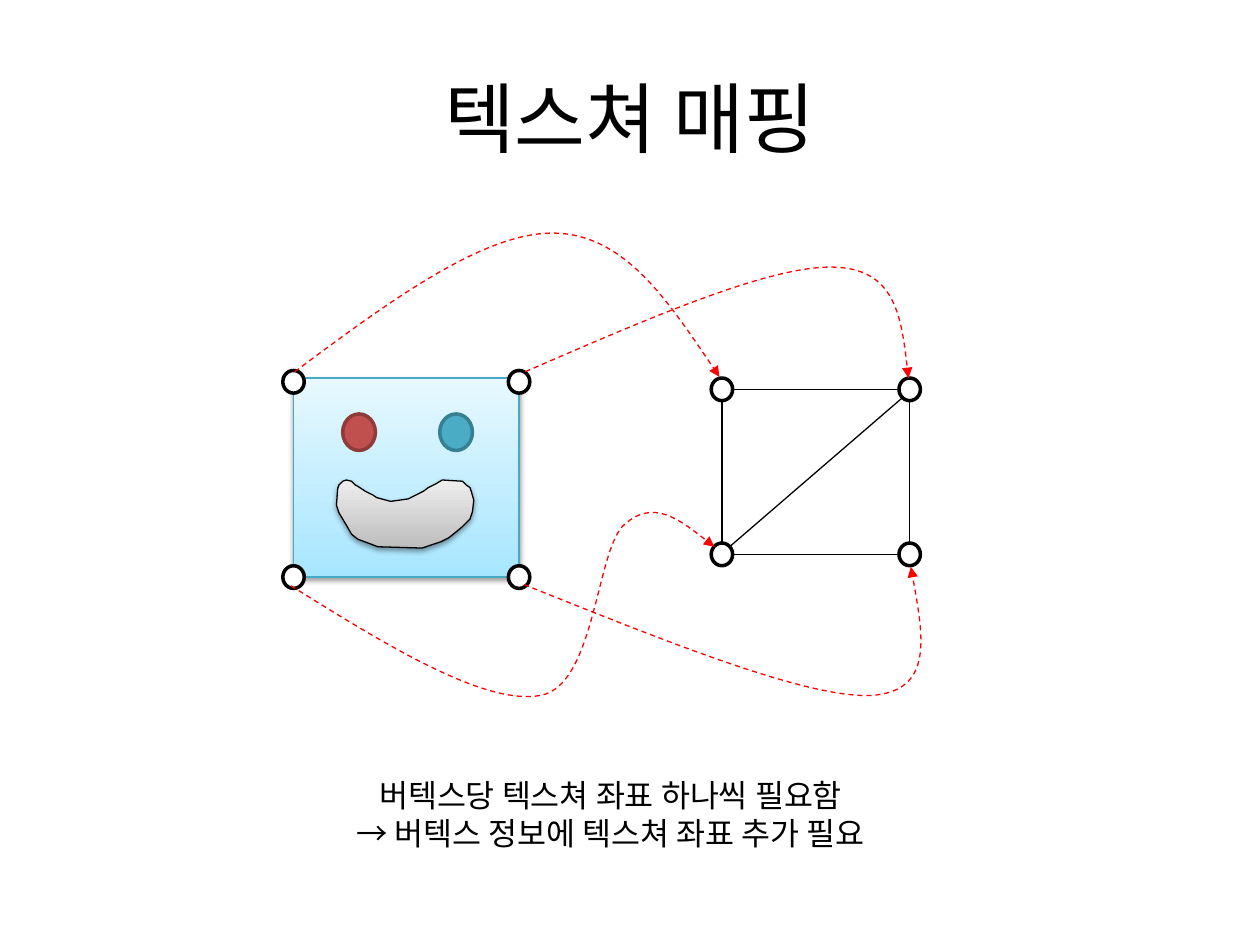
from lxml.etree import SubElement
from pptx import Presentation
from pptx.dml.color import RGBColor
from pptx.enum.dml import MSO_LINE
from pptx.enum.shapes import MSO_CONNECTOR, MSO_SHAPE
from pptx.enum.text import MSO_ANCHOR, PP_ALIGN
from pptx.oxml.ns import qn
from pptx.util import Inches, Pt

FONT = "Noto Sans CJK KR"
BLACK = RGBColor(0x00, 0x00, 0x00)
WHITE = RGBColor(0xFF, 0xFF, 0xFF)
RED = RGBColor(0xFF, 0x00, 0x00)
SKY_DARK = RGBColor(0xA7, 0xE6, 0xFF)
SKY_LIGHT = RGBColor(0xE7, 0xF8, 0xFF)
SKY_LINE = RGBColor(0x46, 0xAA, 0xC5)
GRAY_DARK = RGBColor(0xBD, 0xBD, 0xBD)
GRAY_LIGHT = RGBColor(0xEE, 0xEE, 0xEE)
EYE_RED = RGBColor(0xC0, 0x50, 0x4D)
EYE_RED_LINE = RGBColor(0x8E, 0x3B, 0x39)
EYE_TEAL = RGBColor(0x4B, 0xAC, 0xC6)
EYE_TEAL_LINE = RGBColor(0x37, 0x7F, 0x92)

VERTEX_WIDTH, VERTEX_HEIGHT = 0.17, 0.18
MESH_LEFT, MESH_RIGHT, MESH_TOP, MESH_BOTTOM = 5.73, 7.22, 3.09, 4.4
FACE_LEFT, FACE_RIGHT, FACE_TOP, FACE_BOTTOM = 2.33, 4.12, 3.03, 4.58

MOUTH = [
    (2.75, 4.17), (2.69, 4.07), (2.67, 4.01), (2.68, 3.88), (2.69, 3.85),
    (2.72, 3.82), (2.75, 3.81), (2.79, 3.82), (2.82, 3.85), (2.84, 3.86),
    (2.9, 3.9), (2.96, 3.93), (2.99, 3.95), (3.1, 3.98), (3.24, 3.96),
    (3.3, 3.93), (3.36, 3.9), (3.4, 3.87), (3.46, 3.84), (3.51, 3.81),
    (3.67, 3.82), (3.7, 3.85), (3.73, 3.87), (3.74, 3.9), (3.76, 3.97),
    (3.75, 4.06), (3.73, 4.12), (3.67, 4.18), (3.61, 4.23), (3.56, 4.27),
    (3.5, 4.3), (3.44, 4.32), (3.35, 4.35), (3, 4.34), (2.92, 4.31),
    (2.84, 4.28), (2.79, 4.24),
]
MAPPING_CURVES = [
    [(2.34, 2.95), (3.09, 2.39), (3.84, 1.84), (4.4, 1.85),
     (4.96, 1.86), (5.33, 2.43), (5.71, 2.99)],
    [(4.17, 2.95), (5.14, 2.53), (6.1, 2.11), (6.61, 2.12),
     (7.11, 2.13), (7.16, 2.56), (7.21, 3)],
    [(2.31, 4.65), (3.08, 5.13), (3.85, 5.6), (4.29, 5.52), (4.73, 5.44),
     (4.73, 4.35), (4.96, 4.16), (5.19, 3.96), (5.43, 4.15), (5.67, 4.34)],
    [(4.16, 4.64), (5.28, 5.09), (6.4, 5.54), (6.91, 5.52),
     (7.42, 5.49), (7.32, 5), (7.23, 4.5)],
]


def write_text(shape, text, size):
    text_frame = shape.text_frame
    text_frame.word_wrap = True
    text_frame.text = text
    for paragraph in text_frame.paragraphs:
        paragraph.alignment = PP_ALIGN.CENTER
        for run in paragraph.runs:
            run.font.size = Pt(size)
            run.font.name = FONT
            run.font.color.rgb = BLACK
            SubElement(run.font._element, qn("a:ea"), typeface=FONT)


def set_line(shape, color, width):
    shape.line.color.rgb = color
    shape.line.width = Pt(width)


def set_gradient(shape, bottom_color, top_color):
    shape.fill.gradient()
    shape.fill.gradient_angle = 90
    for stop, color in zip(shape.fill.gradient_stops, (bottom_color, top_color)):
        stop.color.rgb = color


def add_drop_shadow(shape):
    shape.shadow.inherit = False
    effects = shape.element.spPr.find(qn("a:effectLst"))
    shadow = SubElement(effects, qn("a:outerShdw"), blurRad=str(Pt(3.1)),
                        dist=str(Pt(1.6)), dir="5400000", rotWithShape="0")
    color = SubElement(shadow, qn("a:srgbClr"), val=str(BLACK))
    SubElement(color, qn("a:alpha"), val="38000")


def add_ellipse(slide, center_x, center_y, width, height, fill, line):
    ellipse = slide.shapes.add_shape(
        MSO_SHAPE.OVAL, Inches(center_x - width / 2), Inches(center_y - height / 2),
        Inches(width), Inches(height))
    ellipse.fill.solid()
    ellipse.fill.fore_color.rgb = fill
    set_line(ellipse, line, 2)
    ellipse.shadow.inherit = False


def add_vertices(slide, columns, rows):
    for y in rows:
        for x in columns:
            add_ellipse(slide, x, y, VERTEX_WIDTH, VERTEX_HEIGHT, WHITE, BLACK)


def add_edge(slide, start, end):
    edge = slide.shapes.add_connector(
        MSO_CONNECTOR.STRAIGHT, *[Inches(value) for value in start + end])
    set_line(edge, BLACK, 0.75)
    SubElement(edge.element.spPr, qn("a:effectLst"))


def add_outline(slide, points, closed):
    start, *others = [(Inches(x), Inches(y)) for x, y in points]
    builder = slide.shapes.build_freeform(*start)
    builder.add_line_segments(others, close=closed)
    return builder.convert_to_shape()


def add_mapping_curve(slide, points):
    curve = add_outline(slide, points, False)
    segments = list(curve.element.iter(qn("a:lnTo")))
    for index in range(0, len(segments), 3):
        first, *others = segments[index:index + 3]
        first.tag = qn("a:cubicBezTo")
        for segment in others:
            first.append(segment[0])
            segment.getparent().remove(segment)
    curve.fill.background()
    set_line(curve, RED, 0.75)
    curve.line.dash_style = MSO_LINE.DASH
    SubElement(curve.element.spPr.find(qn("a:ln")), qn("a:tailEnd"), type="triangle")
    curve.shadow.inherit = False


def add_face(slide):
    face = slide.shapes.add_shape(
        MSO_SHAPE.RECTANGLE, Inches(FACE_LEFT), Inches(3), Inches(1.79), Inches(1.58))
    set_gradient(face, SKY_DARK, SKY_LIGHT)
    set_line(face, SKY_LINE, 0.75)
    add_drop_shadow(face)
    add_ellipse(slide, 2.85, 3.43, 0.26, 0.29, EYE_RED, EYE_RED_LINE)
    add_ellipse(slide, 3.62, 3.43, 0.26, 0.29, EYE_TEAL, EYE_TEAL_LINE)
    mouth = add_outline(slide, MOUTH, True)
    set_gradient(mouth, GRAY_DARK, GRAY_LIGHT)
    set_line(mouth, BLACK, 0.75)
    add_drop_shadow(mouth)


def add_mesh(slide):
    radius_x, radius_y = VERTEX_WIDTH / 2, VERTEX_HEIGHT / 2
    add_vertices(slide, (MESH_LEFT, MESH_RIGHT), (MESH_TOP, MESH_BOTTOM))
    for x in (MESH_LEFT, MESH_RIGHT):
        add_edge(slide, (x, MESH_TOP + radius_y), (x, MESH_BOTTOM - radius_y))
    for y in (MESH_TOP, MESH_BOTTOM):
        add_edge(slide, (MESH_LEFT + radius_x, y), (MESH_RIGHT - radius_x, y))
    add_edge(slide, (5.79, 4.34), (7.17, 3.15))


def main():
    presentation = Presentation()
    presentation.slide_width = Inches(10)
    presentation.slide_height = Inches(7.5)
    slide = presentation.slides.add_slide(presentation.slide_layouts[5])

    title = slide.shapes.title
    title.left, title.top = Inches(0.5), Inches(0.3)
    title.width, title.height = Inches(9), Inches(1.25)
    title.text_frame.vertical_anchor = MSO_ANCHOR.MIDDLE
    write_text(title, "텍스쳐 매핑", 44)

    add_face(slide)
    add_mesh(slide)
    add_vertices(slide, (FACE_LEFT, FACE_RIGHT), (FACE_TOP, FACE_BOTTOM))
    for points in MAPPING_CURVES:
        add_mapping_curve(slide, points)

    caption = slide.shapes.add_textbox(
        Inches(1.3), Inches(6.11), Inches(7.09), Inches(0.71))
    write_text(caption, "버텍스당 텍스쳐 좌표 하나씩 필요함\n→ 버텍스 정보에 텍스쳐 좌표 추가 필요", 18)
    presentation.save("out.pptx")


if __name__ == "__main__":
    main()
